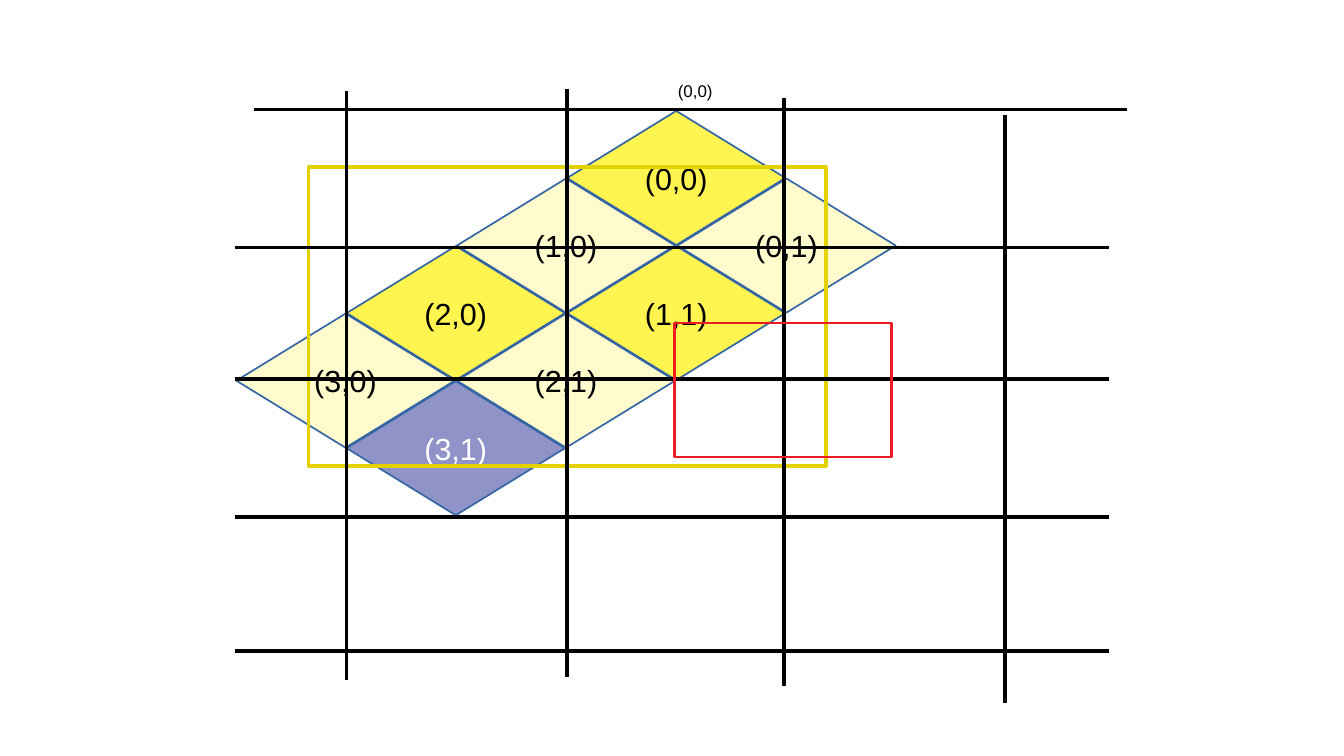
from dataclasses import dataclass
from itertools import product

from lxml import etree
from pptx import Presentation
from pptx import util as u
from pptx.dml.color import RGBColor
from pptx.enum import shapes, text
from pptx.oxml.ns import qn


@dataclass(frozen=True)
class Theme:
    font: str = "Arial"
    ink: str = "000000"
    light: str = "FFFFFF"
    edge: str = "3465A4"
    bright: str = "FFF450"
    pale: str = "FFFBCC"
    last: str = "8F93C7"
    gold: str = "E3D200"
    red: str = "ED1C24"
    tile: float = 18
    note: float = 10


@dataclass(frozen=True)
class Box:
    left: float
    top: float
    width: float
    height: float

    def place(self) -> list[u.Length]:
        return [u.Inches(v) for v in (self.left, self.top, self.width, self.height)]


@dataclass(frozen=True)
class Frame:
    box: Box
    color: str
    weight: float


@dataclass(frozen=True)
class Rule:
    x: float
    y: float
    wide: float = 0
    high: float = 0


THEME = Theme()
ROWS, COLS = 4, 2
APEX = Box(4.65, 0.91, 1.79, 1.1)
STEP_X, STEP_Y = 0.904, 0.554
VIEW = Frame(Box(2.53, 1.37, 4.24, 2.45), THEME.gold, 2.3)
CELL = Frame(Box(5.53, 2.65, 1.78, 1.1), THEME.red, 1.5)
NOTE = Box(5.46, 0.61, 0.6, 0.25)
SPAN_X, SPAN_Y = 7.165, 4.825
RULES = [
    *(Rule(x, y, high=SPAN_Y)
      for x, y in ((2.84, 0.75), (4.65, 0.73), (6.43, 0.8), (8.24, 0.94))),
    Rule(2.08, 0.9, wide=SPAN_X),
    *(Rule(1.93, y, wide=SPAN_X) for y in (2.03, 3.11, 4.24, 5.34)),
]
TILE_FORM = {
    "margin_left": u.Inches(0.11),
    "margin_right": u.Inches(0.11),
    "margin_top": u.Inches(0.06),
    "margin_bottom": u.Inches(0.06),
    "vertical_anchor": text.MSO_ANCHOR.MIDDLE,
    "word_wrap": False,
}
NOTE_FORM = {
    "word_wrap": True,
    "auto_size": text.MSO_AUTO_SIZE.SHAPE_TO_FIT_TEXT,
}


def apply(target: object, form: dict[str, object]) -> None:
    for name, value in form.items():
        setattr(target, name, value)


def stroke(item, color: str, weight: float) -> None:
    item.line.color.rgb = RGBColor.from_string(color)
    item.line.width = u.Pt(weight)


def write(item, words: str, size: float, color: str,
          form: dict[str, object], align: text.PP_ALIGN) -> None:
    apply(item.text_frame, form)
    para = item.text_frame.paragraphs[0]
    para.alignment = align
    run = para.add_run()
    run.text = words
    apply(run.font, {"name": THEME.font, "size": u.Pt(size)})
    run.font.color.rgb = RGBColor.from_string(color)


def draw_tile(slide, row: int, col: int) -> None:
    box = Box(APEX.left + (col - row) * STEP_X,
              APEX.top + (col + row) * STEP_Y, APEX.width, APEX.height)
    final = (row, col) == (ROWS - 1, COLS - 1)
    fill = THEME.last if final else (THEME.bright, THEME.pale)[(row + col) % 2]
    tile = slide.shapes.add_shape(shapes.MSO_SHAPE.DIAMOND, *box.place())
    tile.shadow.inherit = False
    tile.fill.solid()
    tile.fill.fore_color.rgb = RGBColor.from_string(fill)
    stroke(tile, THEME.edge, 1)
    write(tile, f"({row},{col})", THEME.tile,
          THEME.light if final else THEME.ink, TILE_FORM, text.PP_ALIGN.CENTER)


def draw_frame(slide, frame: Frame) -> None:
    rect = slide.shapes.add_shape(shapes.MSO_SHAPE.RECTANGLE, *frame.box.place())
    rect.shadow.inherit = False
    rect.fill.background()
    stroke(rect, frame.color, frame.weight)


def draw_rule(slide, rule: Rule) -> None:
    ends = (rule.x, rule.y, rule.x + rule.wide, rule.y + rule.high)
    line = slide.shapes.add_connector(
        shapes.MSO_CONNECTOR.STRAIGHT, *(u.Inches(v) for v in ends))
    stroke(line, THEME.ink, 0)
    etree.SubElement(line._element.spPr, qn("a:effectLst"))


def main() -> None:
    deck = Presentation()
    apply(deck, {"slide_width": u.Inches(11.02), "slide_height": u.Inches(6.2)})
    slide = deck.slides.add_slide(deck.slide_layouts[6])
    for row, col in product(range(ROWS), range(COLS)):
        draw_tile(slide, row, col)
    draw_frame(slide, VIEW)
    for rule in RULES:
        draw_rule(slide, rule)
    note = slide.shapes.add_textbox(*NOTE.place())
    write(note, "(0,0)", THEME.note, THEME.ink, NOTE_FORM, text.PP_ALIGN.LEFT)
    draw_frame(slide, CELL)
    deck.save("out.pptx")


if __name__ == "__main__":
    main()
